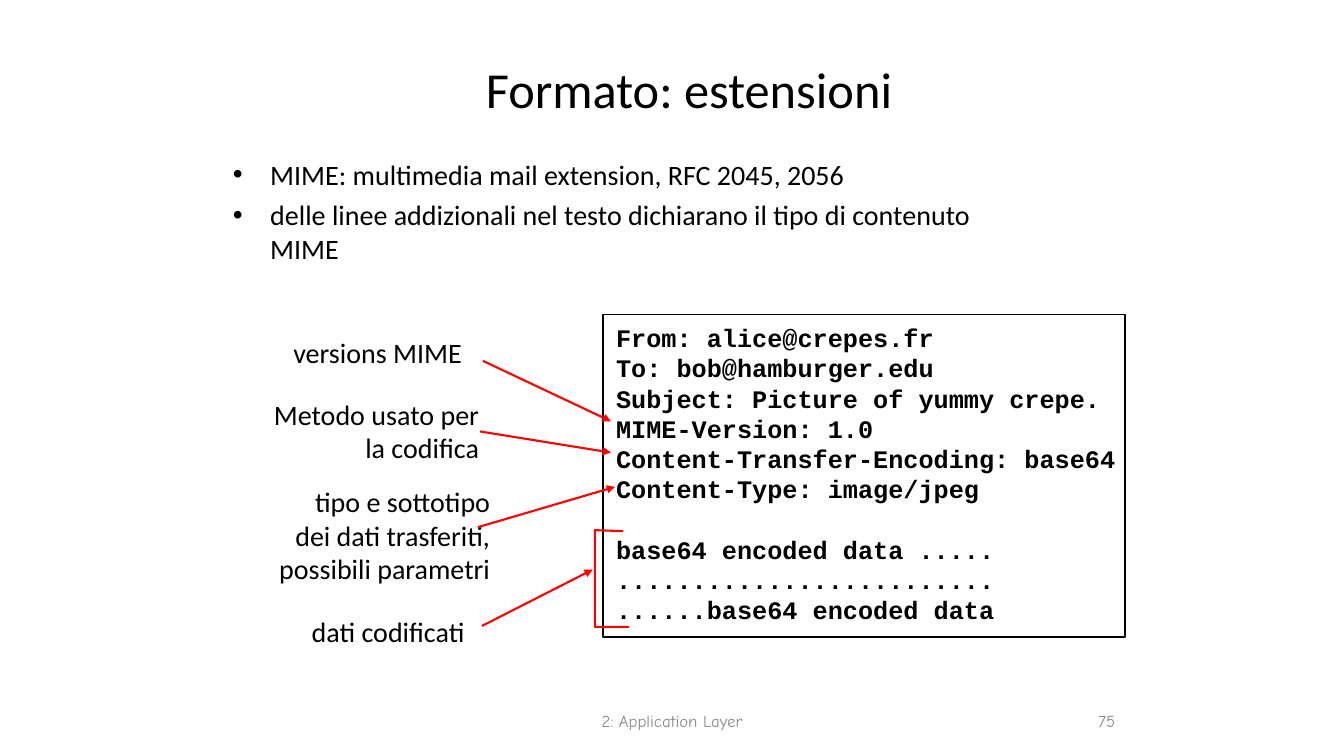
import pptx
import pptx.dml.color
import pptx.enum.dml
import pptx.enum.shapes
import pptx.enum.text
import pptx.oxml
import pptx.oxml.ns
import pptx.util

PX = 9144
COLORS = {"text": "000000", "accent": "FF0000", "footer": "898989"}
ALIGN = pptx.enum.text.PP_ALIGN
ANCHOR = pptx.enum.text.MSO_ANCHOR

BULLETS = [
    "MIME: multimedia mail extension, RFC 2045, 2056",
    "delle linee addizionali nel testo dichiarano il tipo di contenuto MIME",
]
MAIL_HEADERS = [
    "From: alice@crepes.fr",
    "To: bob@hamburger.edu",
    "Subject: Picture of yummy crepe.",
    "MIME-Version: 1.0",
    "Content-Transfer-Encoding: base64",
    "Content-Type: image/jpeg",
]
MAIL_BODY = [
    "base64 encoded data .....",
    ".........................",
    "......base64 encoded data",
]
LABELS = [
    ("versions MIME", (280, 328, 189, 44), ALIGN.CENTER),
    ("Metodo usato per\vla codifica", (260, 389, 225, 78), ALIGN.RIGHT),
    ("tipo e sottotipo\vdei dati trasferiti,\vpossibili parametri", (265, 476, 231, 111), ALIGN.RIGHT),
    ("dati codificati", (298, 605, 174, 44), ALIGN.CENTER),
]
ARROWS = [
    (479, 358, 606, 418),
    (476, 428, 606, 449),
    (474, 523, 610, 483),
    (478, 621, 588, 565),
]
BRACKET = [(618, 527), (590, 526), (590, 622), (624, 622)]


def scaled(lengths):
    return [length * PX for length in lengths]


def rgb(name):
    return pptx.dml.color.RGBColor.from_string(COLORS[name])


def place(shape, box):
    shape.left, shape.top, shape.width, shape.height = scaled(box)


def format_paragraph(paragraph, size, alignment, font="Calibri", color="text", bold=False):
    paragraph.alignment = alignment
    for run in paragraph.runs:
        run.font.size = pptx.util.Pt(size)
        run.font.name = font
        run.font.bold = bold
        run.font.color.rgb = rgb(color)


def format_line(shape, color, width):
    shape.line.color.rgb = rgb(color)
    shape.line.width = pptx.util.Pt(width)


def fill_title(slide):
    title = slide.shapes.title
    place(title, (225, 25, 917, 125))
    title.text_frame.text = "Formato: estensioni"
    title.text_frame.vertical_anchor = ANCHOR.MIDDLE
    format_paragraph(title.text_frame.paragraphs[0], 36, ALIGN.CENTER)


def fill_bullets(slide):
    body = slide.placeholders[1]
    place(body, (221, 151, 801, 508))
    frame = body.text_frame
    frame.text = "\n".join(BULLETS)
    frame.auto_size = pptx.enum.text.MSO_AUTO_SIZE.NONE
    for index, paragraph in enumerate(frame.paragraphs):
        properties = paragraph._p.get_or_add_pPr()
        properties.set("marL", str(37 * PX))
        properties.set("indent", str(-37 * PX))
        bullet = pptx.oxml.parse_xml(f'<a:buChar {pptx.oxml.ns.nsdecls("a")} char="•"/>')
        properties.append(bullet)
        paragraph.space_before = pptx.util.Pt(5 if index else 0)
        format_paragraph(paragraph, 20, ALIGN.LEFT)


def add_text(slide, text, box, size, alignment, font="Calibri", color="text",
             anchor=ANCHOR.TOP, wrap=False):
    text_box = slide.shapes.add_textbox(*scaled(box))
    frame = text_box.text_frame
    frame.word_wrap = wrap
    frame.vertical_anchor = anchor
    frame.text = text
    format_paragraph(frame.paragraphs[0], size, alignment, font, color)


def add_footer(slide, text, box, alignment):
    add_text(slide, text, box, 12, alignment, "Comic Neue", "footer", ANCHOR.MIDDLE, True)


def add_mail(slide):
    rectangle = pptx.enum.shapes.MSO_SHAPE.RECTANGLE
    mail = slide.shapes.add_shape(rectangle, *scaled((598, 312, 518, 320)))
    mail.shadow.inherit = False
    mail.fill.background()
    format_line(mail, "text", 1)
    frame = mail.text_frame
    frame.word_wrap = True
    frame.vertical_anchor = ANCHOR.TOP
    frame.margin_left, frame.margin_top, frame.margin_right, frame.margin_bottom = scaled((13, 8, 0, 0))
    frame.text = "\n".join(MAIL_HEADERS + MAIL_BODY)
    line_height = pptx.util.Pt(21.6)
    for paragraph in frame.paragraphs:
        paragraph.line_spacing = line_height
        format_paragraph(paragraph, 18, ALIGN.LEFT, "Courier New", bold=True)
    frame.paragraphs[len(MAIL_HEADERS)].space_before = line_height


def add_arrow(slide, ends):
    straight = pptx.enum.shapes.MSO_CONNECTOR.STRAIGHT
    arrow = slide.shapes.add_connector(straight, *scaled(ends))
    format_line(arrow, "accent", 1.5)
    namespace = pptx.oxml.ns.nsdecls("a")
    arrow.line._get_or_add_ln().append(pptx.oxml.parse_xml(f'<a:tailEnd {namespace} type="triangle"/>'))
    arrow._element.spPr.append(pptx.oxml.parse_xml(f"<a:effectLst {namespace}/>"))


def add_bracket(slide):
    builder = slide.shapes.build_freeform(*BRACKET[0], scale=PX)
    builder.add_line_segments(BRACKET[1:], close=False)
    bracket = builder.convert_to_shape()
    bracket.shadow.inherit = False
    bracket.fill.background()
    format_line(bracket, "accent", 1.5)


def main():
    presentation = pptx.Presentation()
    presentation.slide_width, presentation.slide_height = scaled((1333, 750))
    slide = presentation.slides.add_slide(presentation.slide_layouts[1])
    fill_title(slide)
    fill_bullets(slide)
    add_footer(slide, "2: Application Layer", (508, 695, 317, 40), ALIGN.CENTER)
    add_footer(slide, "75", (883, 695, 233, 40), ALIGN.RIGHT)
    add_mail(slide)
    for text, box, alignment in LABELS:
        add_text(slide, text, box, 20, alignment)
    for ends in ARROWS:
        add_arrow(slide, ends)
    add_bracket(slide)
    presentation.save("out.pptx")


if __name__ == "__main__":
    main()
